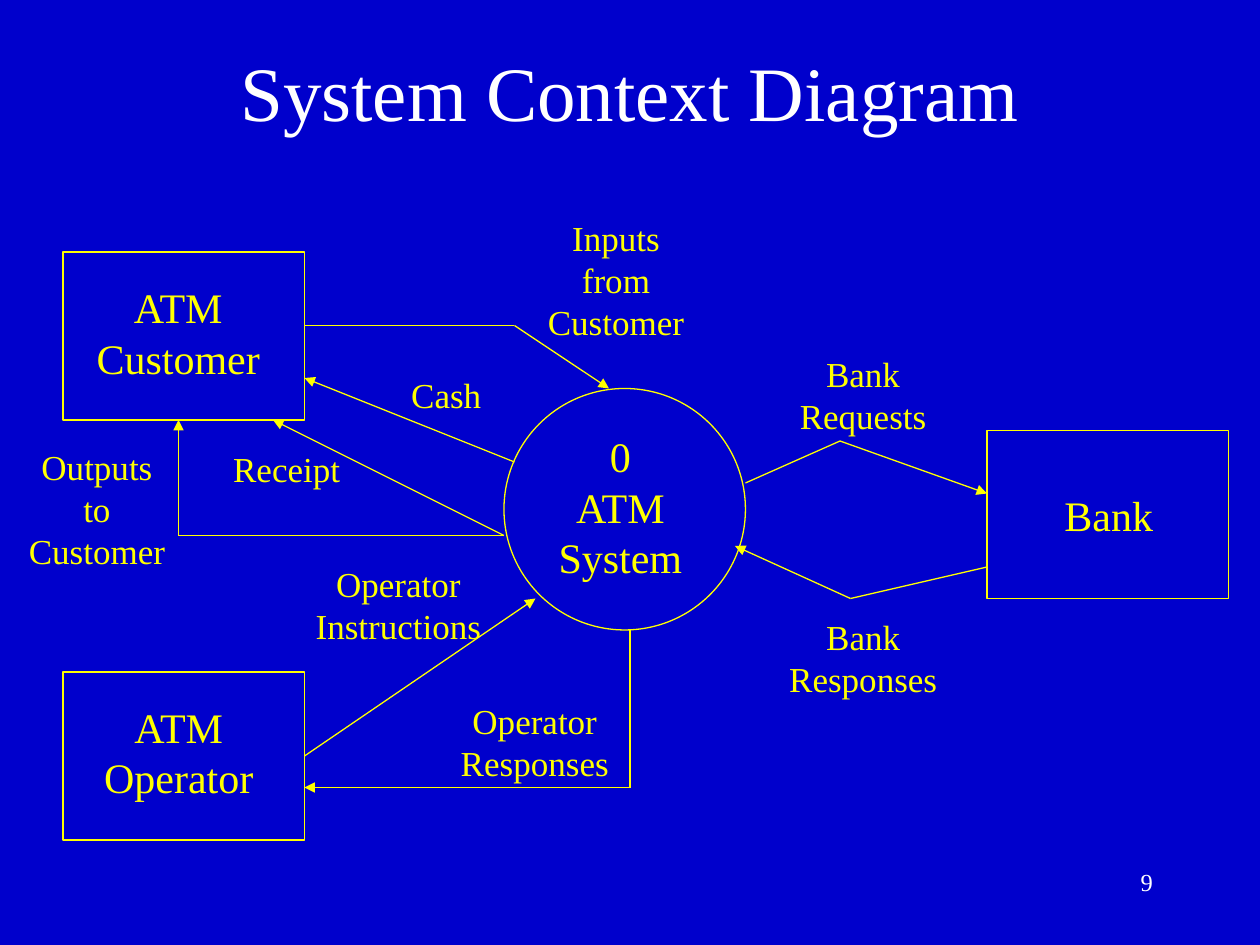
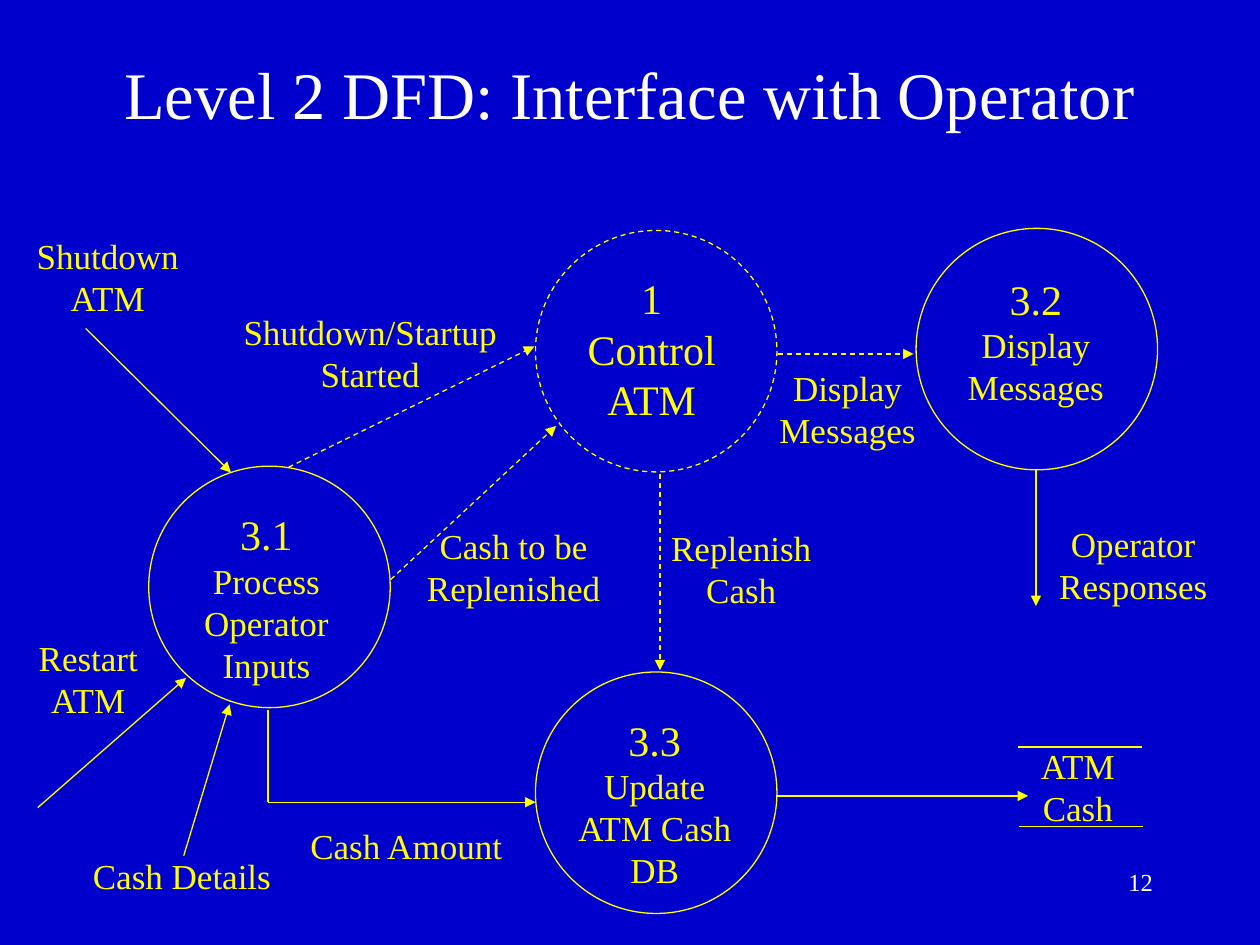
from dataclasses import dataclass
from itertools import pairwise

from lxml.etree import SubElement
from pptx import Presentation
from pptx.dml.color import RGBColor
from pptx.enum.dml import MSO_LINE as Dash
from pptx.enum.shapes import MSO_CONNECTOR as Connector, MSO_SHAPE as Shape
from pptx.enum.text import MSO_ANCHOR as Anchor, MSO_AUTO_SIZE as AutoSize, PP_ALIGN as Align
from pptx.oxml.ns import qn
from pptx.util import Pt


@dataclass(frozen=True)
class Theme:
    background: RGBColor = RGBColor(0x00, 0x00, 0xCC)
    ink: RGBColor = RGBColor(0xFF, 0xFF, 0x00)
    heading: RGBColor = RGBColor(0xFF, 0xFF, 0xFF)
    font: str = "Times New Roman"
    node_size: int = 24
    label_size: int = 20
    number_size: int = 14
    stroke: float = 0.75
    line_spacing: float = 1.2
    inset: float = 3.6
    label_side_inset: float = 5


@dataclass
class Node:
    kind: Shape
    left: float
    top: float
    text: str
    text_at: tuple
    detail_size: int = 24
    dashed: bool = False


@dataclass
class Flow:
    points: list
    dashed: bool = False
    arrow: bool = True
    source: str = ""


@dataclass
class Diagram:
    title: str
    title_top: float
    title_size: int
    number: str
    nodes: list
    flows: list
    labels: list


theme = Theme()
NODE_WIDTH = 138
NODE_HEIGHTS = {Shape.OVAL: 138, Shape.RECTANGLE: 96}
RIGHT_SIDE = 3


def add_text(slide, text, left, top, width, height=None, size=theme.label_size,
             detail_size=None, color=theme.ink, align=Align.CENTER,
             anchor=Anchor.TOP, wrap=False):
    lines = text.split("\n")
    sizes = [size] + [detail_size or size] * (len(lines) - 1)
    fitted = sum(sizes) * theme.line_spacing + 2 * theme.inset
    box = slide.shapes.add_textbox(Pt(left), Pt(top), Pt(width), Pt(height or fitted))
    frame = box.text_frame
    frame.word_wrap = wrap
    frame.auto_size = AutoSize.NONE if height else AutoSize.SHAPE_TO_FIT_TEXT
    frame.vertical_anchor = anchor
    if not wrap:
        frame.margin_left = frame.margin_right = Pt(theme.label_side_inset)
    frame.text = text
    for paragraph, points in zip(frame.paragraphs, sizes):
        paragraph.alignment = align
        paragraph.font.name = theme.font
        paragraph.font.size = Pt(points)
        paragraph.font.color.rgb = color


def add_flow(slide, flow, shapes):
    segments = list(pairwise(flow.points))
    for index, (start, end) in enumerate(segments):
        connector = slide.shapes.add_connector(
            Connector.STRAIGHT, *(Pt(value) for value in start + end))
        connector.line.color.rgb = theme.ink
        connector.line.width = Pt(theme.stroke)
        if flow.dashed:
            connector.line.dash_style = Dash.DASH
        properties = connector._element.spPr
        if flow.arrow and index == len(segments) - 1:
            SubElement(properties.find(qn("a:ln")), qn("a:tailEnd"), type="triangle")
        SubElement(properties, qn("a:effectLst"))
        if flow.source and index == 0:
            connector.begin_connect(shapes[flow.source], RIGHT_SIDE)


context_diagram = Diagram(
    title="System Context Diagram", title_top=7, title_size=44, number="9",
    nodes=[
        Node(Shape.OVAL, 288, 222, "0\nATM\nSystem", (312, 242.6, 85)),
        Node(Shape.RECTANGLE, 36, 144, "ATM\nCustomer", (48.2, 157.4, 107.3)),
        Node(Shape.RECTANGLE, 564, 246, "Bank", (601.2, 276, 64.8)),
        Node(Shape.RECTANGLE, 36, 384, "ATM\nOperator", (52.4, 397.4, 99.4)),
    ],
    flows=[
        Flow([(174, 186), (294, 186), (348, 222)]),
        Flow([(294, 264), (174, 216)]),
        Flow([(288, 306), (156, 240)]),
        Flow([(288, 306), (102, 306), (102, 240)]),
        Flow([(174, 432), (306, 342)], source="ATM\nOperator"),
        Flow([(360, 360), (360, 450), (174, 450)]),
        Flow([(426, 276), (480, 252), (564, 282)]),
        Flow([(564, 324), (486, 342), (420, 312)]),
    ],
    labels=[
        ("Inputs\nfrom\nCustomer", 306, 120, 92),
        ("Cash", 228, 210, 54),
        ("Receipt", 126, 252, 75.6),
        ("Outputs\nto\nCustomer", 9.4, 251, 92),
        ("Operator\nInstructions", 173.3, 318, 108.7),
        ("Operator\nResponses", 256.3, 396, 98.6),
        ("Bank\nRequests", 450, 198, 86.4),
        ("Bank\nResponses", 444, 348, 98.6),
    ],
)

operator_diagram = Diagram(
    title="Level 2 DFD: Interface with Operator", title_top=8, title_size=38, number="12",
    nodes=[
        Node(Shape.OVAL, 306, 384, "3.3\nUpdate\nATM Cash\nDB", (322.3, 404.6, 103.7),
             detail_size=theme.label_size),
        Node(Shape.OVAL, 306, 131.7, "1\nControl\nATM", (328.5, 152.3, 87.8), dashed=True),
        Node(Shape.OVAL, 85, 266.4, "3.1\nProcess\nOperator\nInputs", (109.4, 287.3, 85.7),
             detail_size=theme.label_size),
        Node(Shape.OVAL, 523.5, 130.5, "3.2\nDisplay\nMessages", (545.8, 152.6, 92.2),
             detail_size=theme.label_size),
    ],
    flows=[
        Flow([(49, 187.7), (132, 270)]),
        Flow([(21.6, 461.5), (106.3, 387.4)]),
        Flow([(105, 489), (131.2, 402.5)]),
        Flow([(153.2, 406), (153.2, 458.4), (306, 458.4)]),
        Flow([(444.2, 454.8), (587.5, 454.8)]),
        Flow([(592, 268.6), (592, 346.3)]),
        Flow([(164.9, 267), (305.3, 198)], dashed=True),
        Flow([(223.2, 331.2), (317.8, 243.4)], dashed=True),
        Flow([(444.5, 202.3), (522, 202.3)], dashed=True),
        Flow([(377.1, 270.7), (377.1, 383)], dashed=True),
        Flow([(581.8, 426.8), (652.5, 426.8)], arrow=False),
        Flow([(582.5, 472.5), (653, 472.5)], arrow=False),
    ],
    labels=[
        ("Shutdown\nATM", 13.7, 130.3, 95.8),
        ("Shutdown/Startup\nStarted", 132, 173.8, 159),
        ("Restart\nATM", 14.8, 360, 71.3),
        ("Cash Details", 46, 484.6, 116),
        ("Cash Amount", 169.5, 467.6, 125.3),
        ("Cash to be\nReplenished", 237, 296, 113),
        ("Replenish\nCash", 376.4, 297.4, 94.3),
        ("Display\nMessages", 438.2, 206, 92.2),
        ("Operator\nResponses", 598.3, 295.2, 98.6),
        ("ATM\nCash", 586.4, 422, 59),
    ],
)

presentation = Presentation()
presentation.slide_width = Pt(720)
presentation.slide_height = Pt(540)
master_fill = presentation.slide_master.background.fill
master_fill.solid()
master_fill.fore_color.rgb = theme.background

for diagram in (context_diagram, operator_diagram):
    slide = presentation.slides.add_slide(presentation.slide_layouts[6])
    add_text(slide, diagram.title, 54, diagram.title_top, 612, 90, size=diagram.title_size,
             color=theme.heading, anchor=Anchor.MIDDLE, wrap=True)

    shapes = {}
    for node in diagram.nodes:
        shape = slide.shapes.add_shape(node.kind, Pt(node.left), Pt(node.top),
                                       Pt(NODE_WIDTH), Pt(NODE_HEIGHTS[node.kind]))
        shape.shadow.inherit = False
        shape.fill.background()
        shape.line.color.rgb = theme.ink
        shape.line.width = Pt(theme.stroke)
        if node.dashed:
            shape.line.dash_style = Dash.DASH
        shapes[node.text] = shape
        add_text(slide, node.text, *node.text_at, size=theme.node_size,
                 detail_size=node.detail_size)

    for flow in diagram.flows:
        add_flow(slide, flow, shapes)

    for text, left, top, width in diagram.labels:
        add_text(slide, text, left, top, width)

    add_text(slide, diagram.number, 516, 492, 150, 36, size=theme.number_size,
             color=theme.heading, align=Align.RIGHT, wrap=True)

presentation.save("out.pptx")
